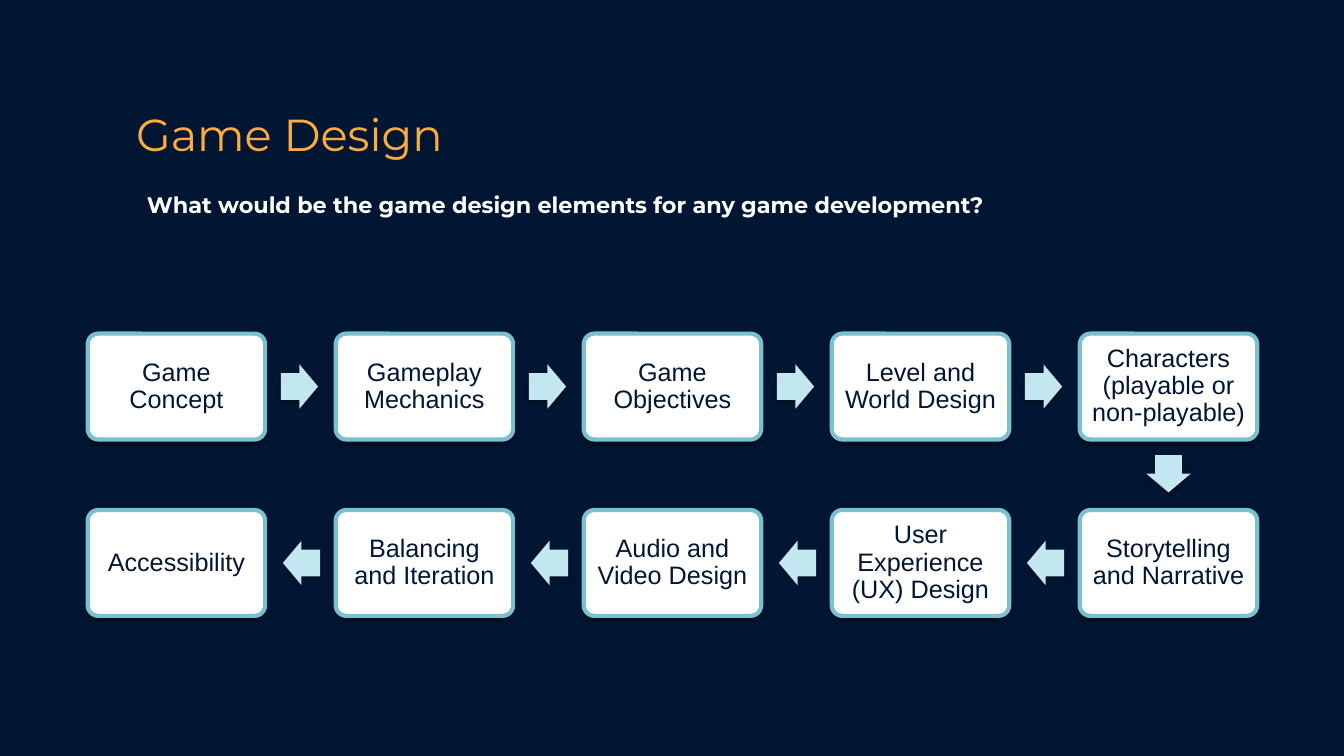
from lxml import etree
from pptx import Presentation
from pptx.dml.color import RGBColor
from pptx.enum.shapes import MSO_SHAPE
from pptx.enum.text import MSO_ANCHOR, MSO_AUTO_SIZE, PP_ALIGN
from pptx.oxml.ns import qn
from pptx.util import Inches, Pt

ROUNDED, ARROW = MSO_SHAPE.ROUNDED_RECTANGLE, MSO_SHAPE.RIGHT_ARROW
TOP, MIDDLE, BOTTOM = MSO_ANCHOR.TOP, MSO_ANCHOR.MIDDLE, MSO_ANCHOR.BOTTOM
LEFT, CENTER = PP_ALIGN.LEFT, PP_ALIGN.CENTER
NO_FIT = MSO_AUTO_SIZE.NONE
TITLE_ONLY = 5

COLORS = {"navy": "001633", "orange": "FFAB40", "white": "FFFFFF",
          "teal": "79C1D1", "ice": "C2E7F0", "black": "000000"}

ELEMENTS = ["Game Concept", "Gameplay Mechanics", "Game Objectives",
            "Level and World Design", "Characters (playable or non-playable)",
            "Storytelling and Narrative", "User Experience (UX) Design",
            "Audio and Video Design", "Balancing and Iteration", "Accessibility"]

# Flow grid, in inches
COLUMNS = 5
CARD_W, CARD_H = 1.76, 1.05
STEP_X, STEP_Y = 2.46, 1.75
ARROW_W, ARROW_H = 0.37, 0.44
ARROW_REACH = 0.34  # card edge to arrow centre


def color(name):
    return RGBColor.from_string(COLORS[name])


def write(sp, text, font, size, ink, inset, anchor, align, bold=False):
    tf = sp.text_frame
    tf.auto_size = NO_FIT
    tf.word_wrap = True
    tf.vertical_anchor = anchor
    tf.margin_left = tf.margin_right = Inches(inset)
    tf.margin_top = tf.margin_bottom = Inches(inset)
    p = tf.paragraphs[0]
    p.text = text
    p.alignment = align
    p.font.name, p.font.size, p.font.bold = font, Pt(size), bold
    p.font.color.rgb = color(ink)
    return p


def add_shadow(sp):
    effects = etree.SubElement(sp._element.spPr, qn("a:effectLst"))
    shadow = etree.SubElement(effects, qn("a:outerShdw"), blurRad=str(Pt(3.1)),
                              dist=str(Pt(1.6)), dir="5400000", rotWithShape="0")
    ink = etree.SubElement(shadow, qn("a:srgbClr"), val=COLORS["black"])
    etree.SubElement(ink, qn("a:alpha"), val="38000")


def add_block(slide, kind, box, fill, adjustments, line=None):
    sp = slide.shapes.add_shape(kind, *map(Inches, box))
    for i, value in enumerate(adjustments):
        sp.adjustments[i] = value
    sp.fill.solid()
    sp.fill.fore_color.rgb = color(fill)
    if line:
        sp.line.color.rgb = color(line)
        sp.line.width = Pt(3)
    else:
        sp.line.fill.background()
    add_shadow(sp)
    return sp


def add_heading(slide, title_box, question_box):
    title = slide.shapes.title
    title.left, title.top, title.width, title.height = map(Inches, title_box)
    write(title, "Game Design", "Montserrat", 32, "orange", 0.1, BOTTOM, LEFT)
    question = slide.shapes.add_textbox(*map(Inches, question_box))
    write(question, "What would be the game design elements for any game development?",
          "Montserrat", 16, "white", 0.1, TOP, LEFT, bold=True)


def grid_cell(i):
    """Column and row on a path that turns back at the end of each row."""
    row, col = divmod(i, COLUMNS)
    return (COLUMNS - 1 - col if row % 2 else col), row


def add_flow(slide, left, top):
    for i, name in enumerate(ELEMENTS):
        # Card
        col, row = grid_cell(i)
        x, y = left + col * STEP_X, top + row * STEP_Y
        card = add_block(slide, ROUNDED, (x, y, CARD_W, CARD_H), "white", [0.1], "teal")
        p = write(card, name, "Arial", 18, "navy", 0.07, MIDDLE, CENTER)
        p.line_spacing = 0.9
        if i == len(ELEMENTS) - 1:
            break

        # Arrow to the next card
        next_col, next_row = grid_cell(i + 1)
        dx, dy = next_col - col, next_row - row
        center_x = x + CARD_W / 2 + dx * (CARD_W / 2 + ARROW_REACH)
        center_y = y + CARD_H / 2 + dy * (CARD_H / 2 + ARROW_REACH)
        box = (center_x - ARROW_W / 2, center_y - ARROW_H / 2, ARROW_W, ARROW_H)
        arrow = add_block(slide, ARROW, box, "ice", [0.6, 0.5])
        arrow.rotation = 90 if dy else 90 * (1 - dx)


def main():
    prs = Presentation()
    prs.slide_width, prs.slide_height = Inches(13.33), Inches(7.5)
    slide = prs.slides.add_slide(prs.slide_layouts[TITLE_ONLY])
    slide.background.fill.solid()
    slide.background.fill.fore_color.rgb = color("navy")
    add_heading(slide, (1.25, -0.1, 4.22, 1.79), (1.36, 1.8, 8.7, 0.56))
    add_flow(slide, 0.87, 3.31)
    prs.save("out.pptx")


if __name__ == "__main__":
    main()
